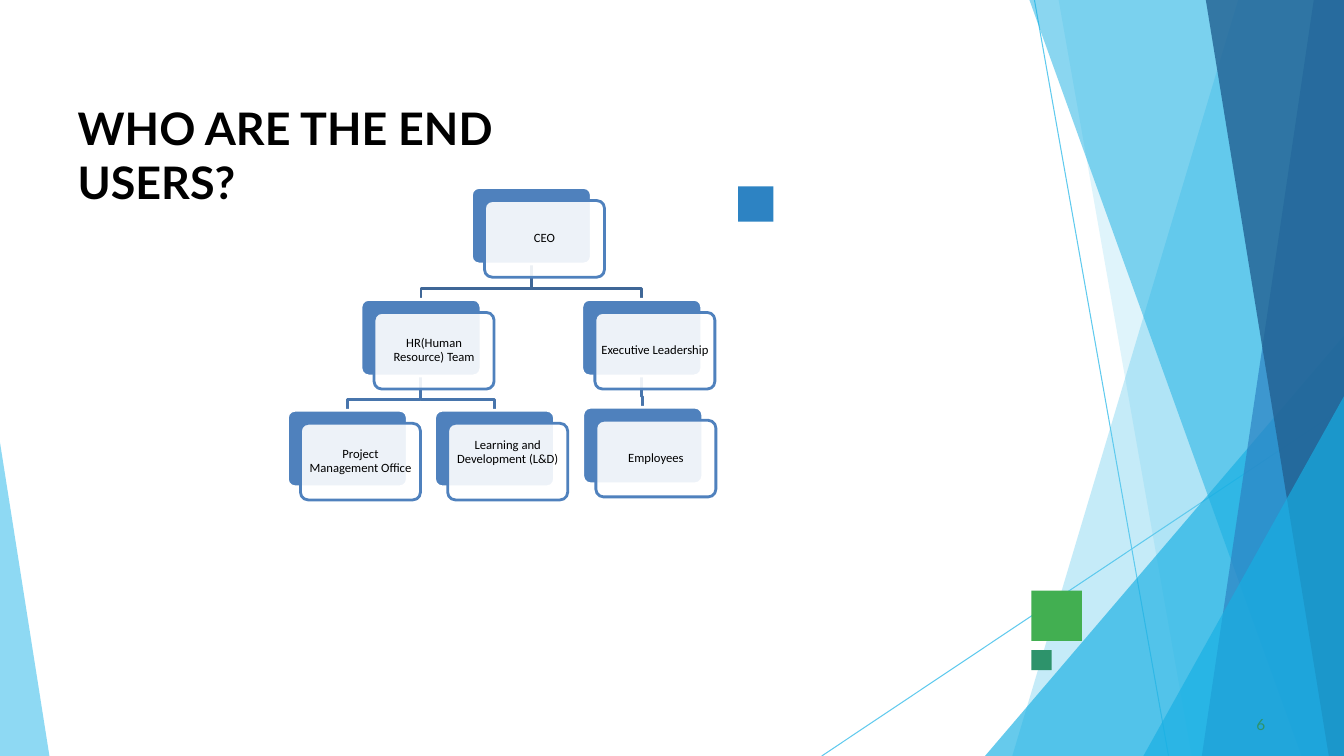
from lxml import etree
from pptx import Presentation
from pptx.dml.color import RGBColor
from pptx.enum.shapes import MSO_CONNECTOR, MSO_SHAPE
from pptx.enum.text import MSO_ANCHOR, PP_ALIGN
from pptx.oxml.ns import qn
from pptx.util import Inches, Pt

STRAIGHT = MSO_CONNECTOR.STRAIGHT
RECTANGLE, ROUNDED = MSO_SHAPE.RECTANGLE, MSO_SHAPE.ROUNDED_RECTANGLE
TOP, MIDDLE = MSO_ANCHOR.TOP, MSO_ANCHOR.MIDDLE
LEFT, CENTER = PP_ALIGN.LEFT, PP_ALIGN.CENTER

WIDTH, HEIGHT = 13.33, 7.5
THEME = {
    "sky": "5FCAEE", "cyan": "17AFE3", "blue": "2D83C3", "navy": "226192",
    "green": "42AF51", "teal": "2D936B", "card": "4F81BD", "white": "FFFFFF",
    "upper link": "3F6797", "lower link": "4875AC", "black": "000000",
    "title font": "Lato", "chart font": "Calibri",
    "title size": 32, "number size": 11, "card size": 9,
    "ray width": 0.75, "card line": 2,
}

TITLE = "WHO ARE THE END USERS?"
PAGE_NUMBER = "6"

RAYS = [((10.26, 0), (11.59, HEIGHT)), ((WIDTH, 4.04), (8.15, HEIGHT))]

# fmt: off
RIGHT_EDGE_FACETS = [
    ([(12.28, 0), (10.04, HEIGHT)], "sky", 36),
    ([(10.5, 0), (11.82, HEIGHT)], "sky", 20),
    ([(WIDTH, 3.33), (9.77, HEIGHT)], "cyan", 66),
    ([(10.21, 0), (12.91, HEIGHT)], "cyan", 50),
    ([(13.03, 0), (11.92, HEIGHT)], "blue", 70),
    ([(11.96, 0), (13.18, HEIGHT)], "navy", 80),
    ([(WIDTH, 3.93), (11.34, HEIGHT)], "cyan", 66),
]
LEFT_FACET = [(0, 4.39), (0, HEIGHT), (0.49, HEIGHT)]

SQUARES = [
    (10.23, 5.86, 0.5, "green"),
    (7.32, 1.85, 0.35, "blue"),
    (10.23, 6.45, 0.2, "teal"),
]

ROLES = {
    "CEO": {"column": 2.5, "level": 0},
    "HR(Human Resource) Team": {"column": 1, "level": 1, "boss": "CEO"},
    "Project Management Office":
        {"column": 0, "level": 2, "boss": "HR(Human Resource) Team"},
    "Learning and Development (L&D)":
        {"column": 2, "level": 2, "boss": "HR(Human Resource) Team", "lift": 0.18},
    "Executive Leadership": {"column": 4, "level": 1, "boss": "CEO"},
    "Employees":
        {"column": 4, "level": 2, "boss": "Executive Leadership", "nudge": (0.01, -0.03)},
}
# fmt: on
CHART_LEFT, COLUMN_STEP = 2.85, 0.73
LEVEL_TOPS = [1.86, 2.97, 4.07]
CARD_WIDTH, CARD_HEIGHT, CARD_OFFSET = 1.19, 0.76, 0.13
CARD_INSET, CARD_CORNER, LINK_BEND = 0.04, 0.1, 0.11


def color(name):
    return RGBColor.from_string(THEME[name])


def paint(shape, fill=None, opacity=100, line=None, line_width=0):
    shape.shadow.inherit = False
    if fill:
        shape.fill.solid()
        shape.fill.fore_color.rgb = color(fill)
        if opacity < 100:
            tone = shape.fill._xPr.find(qn("a:solidFill"))[0]
            etree.SubElement(tone, qn("a:alpha")).set("val", str(opacity * 1000))
    else:
        shape.fill.background()
    if line:
        shape.line.color.rgb = color(line)
        shape.line.width = Pt(line_width)
    else:
        shape.line.fill.background()


def outline(points, closed):
    corners = [(Inches(x), Inches(y)) for x, y in points]
    builder = shapes.build_freeform(*corners[0])
    builder.add_line_segments(corners[1:], close=closed)
    return builder.convert_to_shape()


def write(shape, text, font, size, tone, insets, anchor=TOP, align=LEFT, bold=False):
    frame = shape.text_frame
    frame.word_wrap = True
    frame.vertical_anchor = anchor
    (frame.margin_left, frame.margin_top,
     frame.margin_right, frame.margin_bottom) = map(Inches, insets)
    paragraph = frame.paragraphs[0]
    paragraph.alignment = align
    run = paragraph.add_run()
    run.text = text
    run.font.name = THEME[font]
    run.font.size = Pt(THEME[size])
    run.font.bold = bold
    run.font.color.rgb = color(tone)
    return paragraph


def text_box(left, top, width, height):
    return shapes.add_textbox(*map(Inches, (left, top, width, height)))


def card_corner(role):
    shift_x, shift_y = role.get("nudge", (0, 0))
    return (CHART_LEFT + role["column"] * COLUMN_STEP + shift_x,
            LEVEL_TOPS[role["level"]] + shift_y)


def add_link(role):
    boss = ROLES[role["boss"]]
    boss_left, boss_top = card_corner(boss)
    left, top = card_corner(role)
    start, end = boss_left + CARD_WIDTH / 2, left + CARD_WIDTH / 2
    bend = top - LINK_BEND
    link = outline([(start, boss_top + CARD_HEIGHT), (start, bend),
                    (end, bend), (end, top)], False)
    tone = "lower link" if boss["level"] else "upper link"
    paint(link, line=tone, line_width=THEME["card line"])


def add_card(label, role):
    left, top = card_corner(role)
    layers = [(0, "card", 100, "white"), (CARD_OFFSET, "white", 90, "card")]
    for offset, fill, opacity, line in layers:
        card = shapes.add_shape(ROUNDED, Inches(left + offset), Inches(top + offset),
                                Inches(CARD_WIDTH), Inches(CARD_HEIGHT))
        card.adjustments[0] = CARD_CORNER
        paint(card, fill, opacity, line, THEME["card line"])
    insets = [CARD_INSET] * 3 + [CARD_INSET + role.get("lift", 0)]
    paragraph = write(card, label, "chart font", "card size", "black",
                      insets, MIDDLE, CENTER)
    paragraph.line_spacing = 0.9


deck = Presentation()
deck.slide_width, deck.slide_height = Inches(WIDTH), Inches(HEIGHT)
shapes = deck.slides.add_slide(deck.slide_layouts[6]).shapes

for start, end in RAYS:
    ray = shapes.add_connector(STRAIGHT, *map(Inches, start + end))
    ray.line.color.rgb = color("sky")
    ray.line.width = Pt(THEME["ray width"])
    etree.SubElement(ray._element.spPr, qn("a:effectLst"))

for inner_edge, tone, opacity in RIGHT_EDGE_FACETS:
    facet_top = inner_edge[0][1]
    corners = inner_edge + [(WIDTH, HEIGHT), (WIDTH, facet_top)]
    paint(outline(corners, True), tone, opacity)
paint(outline(LEFT_FACET, True), "sky", 70)

for left, top, side, tone in SQUARES:
    square = shapes.add_shape(RECTANGLE, *map(Inches, (left, top, side, side)))
    paint(square, tone)

heading = write(text_box(0.76, 0.98, 5.48, 0.57), TITLE, "title font", "title size",
                "black", (0.01, 0.02, 0, 0), bold=True)
heading.space_before = Pt(1.3)
write(text_box(12.42, 7.08, 0.17, 0.21), PAGE_NUMBER, "title font", "number size",
      "teal", (0.04, 0.01, 0, 0))

for role in ROLES.values():
    if "boss" in role:
        add_link(role)
for label, role in ROLES.items():
    add_card(label, role)

deck.save("out.pptx")
